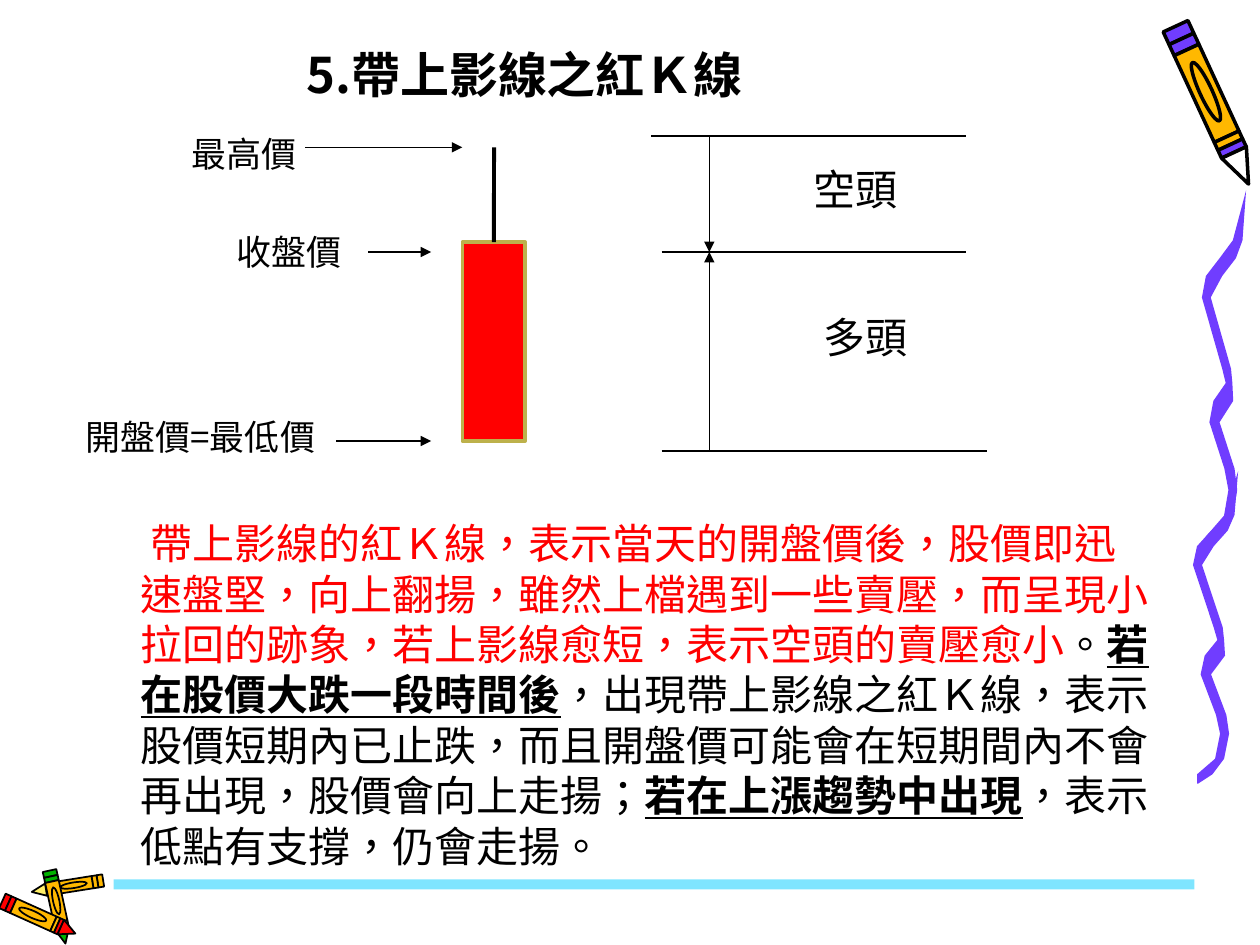
from math import atan2, degrees, hypot

from lxml.etree import SubElement
from pptx import Presentation
from pptx.dml.color import RGBColor
from pptx.enum.lang import MSO_LANGUAGE_ID
from pptx.enum.shapes import MSO_CONNECTOR, MSO_SHAPE
from pptx.enum.text import MSO_ANCHOR, PP_ALIGN
from pptx.oxml.ns import qn
from pptx.util import Cm, Pt

COLORS = {
    "black": "000000", "white": "FFFFFF", "red": "FF0000", "violet": "703DFF",
    "amber": "FFB800", "cream": "FFEF66", "green": "00B200", "cyan": "00CCFF",
    "olive": "BDB14B",
}
RGB = {name: RGBColor.from_string(value) for name, value in COLORS.items()}
SANS_SC, SANS_TC, SERIF = "Noto Sans CJK SC", "Noto Sans CJK TC", "Times New Roman"


def style_shape(shape, fill, line=None, line_width=0.75):
    shape.shadow.inherit = False
    shape.fill.solid()
    shape.fill.fore_color.rgb = RGB[fill]
    if line:
        shape.line.color.rgb = RGB[line]
        shape.line.width = Pt(line_width)
    else:
        shape.line.fill.background()


def write_text(shape, runs, size, font_name, align=PP_ALIGN.LEFT, anchor=MSO_ANCHOR.TOP):
    """Fill a shape with one paragraph; runs are (text, font formats) pairs."""
    frame = shape.text_frame
    frame.word_wrap = True
    frame.vertical_anchor = anchor
    paragraph = frame.paragraphs[0]
    paragraph.alignment = align
    paragraph.line_spacing = Pt(size * 1.2)
    for text, formats in runs:
        run = paragraph.add_run()
        run.text = text
        run.font.color.rgb = RGB[formats.get("color", "black")]
        values = {"size": Pt(size), "name": font_name,
                  "language_id": MSO_LANGUAGE_ID.TRADITIONAL_CHINESE,
                  **{key: value for key, value in formats.items() if key != "color"}}
        for name, value in values.items():
            setattr(run.font, name, value)
        east_asian = SANS_TC if font_name == SERIF else font_name
        SubElement(run._r.get_or_add_rPr(), qn("a:ea"), typeface=east_asian)
    return paragraph


presentation = Presentation()
presentation.slide_width, presentation.slide_height = Cm(25.4), Cm(19.05)
slide = presentation.slides.add_slide(presentation.slide_layouts[5])
shapes = slide.shapes

# Pencil trail: one wavy ribbon used twice.
# Each row gives depth, left edge and right edge in percent of the ribbon's box.
ribbon_rows = [
    (0, 100, 100), (14, 70, 92), (19, 40, 77), (24, 9, 46), (30, 0, 20), (50, 46, 66),
    (54, 54, 69), (59, 26, 71), (65, 17, 40), (78, 51, 74), (84, 60, 80), (92, 49, 69),
    (97, 9, 43), (100, 9, 11),
]
left_edge = [(left, depth) for depth, left, right in ribbon_rows]
right_edge = [(right, depth) for depth, left, right in reversed(ribbon_rows)]
ribbon_outline = left_edge + right_edge
for left, top, width, height in [(24.05, 9.5, 0.91, 6.3), (24.23, 3.84, 0.89, 7.19)]:
    scale = (Cm(width) / 100, Cm(height) / 100)
    builder = shapes.build_freeform(*ribbon_outline[0], scale=scale)
    builder.add_line_segments(ribbon_outline[1:], close=True)
    style_shape(builder.convert_to_shape(Cm(left), Cm(top)), "violet")

# Pencil and crayons: the same parts laid along an axis from blunt end to tip.
# Each part gives its preset, where it starts and ends on the axis, its share of
# the width, and its colour ("end" and "tip" differ from stick to stick).
stick_parts = [
    (MSO_SHAPE.RECTANGLE, 0, 0.08, 1, "end"),
    (MSO_SHAPE.RECTANGLE, 0.08, 0.15, 1, "end"),
    (MSO_SHAPE.RECTANGLE, 0.15, 0.7, 1, "amber"),
    (MSO_SHAPE.RECTANGLE, 0.7, 0.75, 1, "amber"),
    (MSO_SHAPE.RECTANGLE, 0.75, 0.8, 1, "end"),
    (MSO_SHAPE.FLOWCHART_MERGE, 0.8, 1, 1, "tip"),
    (MSO_SHAPE.OVAL, 0.23, 0.6, 0.45, "amber"),
]
for (x1, y1), (x2, y2), stick_width, end, tip, outline_width in [
    ((2.08, 17.75), (0.64, 17.98), 0.25, "amber", "cream", 1),
    ((1, 17.55), (1.32, 19.02), 0.28, "green", "green", 1),
    ((0.05, 18.16), (1.52, 18.82), 0.32, "red", "red", 1),
    ((23.7, 0.53), (25.17, 3.71), 0.55, "violet", "white", 2),
]:
    length = hypot(x2 - x1, y2 - y1)
    for preset, start, stop, share, color in stick_parts:
        middle = (start + stop) / 2
        width, height = stick_width * share, length * (stop - start)
        left = x1 + (x2 - x1) * middle - width / 2
        top = y1 + (y2 - y1) * middle - height / 2
        part = shapes.add_shape(preset, Cm(left), Cm(top), Cm(width), Cm(height))
        part.rotation = degrees(atan2(x1 - x2, y2 - y1))
        style_shape(part, {"end": end, "tip": tip}.get(color, color), "black", outline_width)

# Footer bar, half transparent
footer = shapes.add_shape(MSO_SHAPE.RECTANGLE, Cm(2.29), Cm(17.73), Cm(21.79), Cm(0.5))
footer.height = Cm(0.2)
style_shape(footer, "cyan")
footer_color = footer._element.spPr.find(".//" + qn("a:srgbClr"))
SubElement(footer_color, qn("a:alpha"), val="50000")

# Price labels and candle
for text, box in [
    ("最高價", (3.61, 2.54, 2.84, 0.89)),
    ("收盤價", (4.52, 4.52, 3.51, 1.04)),
    ("開盤價=最低價", (1.47, 8.26, 5.61, 0.84)),
]:
    label = shapes.add_shape(MSO_SHAPE.RECTANGLE, *map(Cm, box))
    style_shape(label, "white", "white")
    write_text(label, [(text, {})], 20, SANS_TC)
candle = shapes.add_shape(MSO_SHAPE.RECTANGLE, Cm(9.32), Cm(4.88), Cm(1.27), Cm(4.01))
style_shape(candle, "red", "olive", 2)

# Lines: start, end, width, arrowhead at the end
high, close, low = 2.74, 5.08, 9.09
range_x = 14.3
lines = {
    "high price": ((6.15, 2.97), (9.32, 2.97), 0.75, True),
    "closing price": ((7.42, close), (8.69, close), 0.75, True),
    "opening price": ((6.78, 8.89), (8.69, 8.89), 0.75, True),
    "wick": ((9.96, 2.97), (9.96, 4.88), 2.25, False),
    "high level": ((13.13, high), (19.48, high), 0.75, False),
    "close level": ((13.34, close), (19.48, close), 0.75, False),
    "low level": ((13.34, low), (19.89, low), 0.75, False),
    "short range": ((range_x, high), (range_x, close), 0.75, True),
    "long range": ((range_x, low), (range_x, close), 0.75, True),
}
for name, (start, end, width, has_arrow) in lines.items():
    connector = shapes.add_connector(MSO_CONNECTOR.STRAIGHT, *map(Cm, start + end))
    connector.line.color.rgb = RGB["black"]
    connector.line.width = Pt(width)
    if has_arrow:
        SubElement(connector.line._get_or_add_ln(), qn("a:tailEnd"), type="triangle")
    SubElement(connector._element.spPr, qn("a:effectLst"))
    if name == "wick":
        connector.end_connect(candle, 0)

for text, left, top in [("空頭", 15.24, 3.18), ("多頭", 15.44, 6.15)]:
    range_label = shapes.add_textbox(Cm(left), Cm(top), Cm(4.01), Cm(1.27))
    write_text(range_label, [(text, {})], 24, SERIF, PP_ALIGN.CENTER)

# Title and explanation
title = shapes.title
title.left, title.top, title.width, title.height = map(Cm, (5.56, 0.3, 10.03, 1.91))
write_text(title, [("5.帶上影線之紅Ｋ線", {"bold": True})], 28, SANS_SC,
           PP_ALIGN.CENTER, MSO_ANCHOR.BOTTOM)

emphasis = {"bold": True, "underline": True}
explanation = shapes.add_textbox(Cm(2.59), Cm(10.31), Cm(20.96), Cm(7.44))
paragraph = write_text(explanation, [
    ("帶上影線的紅Ｋ線，表示當天的開盤價後，股價即迅速盤堅，向上翻揚，雖然上檔遇到一些賣壓，"
     "而呈現小拉回的跡象，若上影線愈短，表示空頭的賣壓愈小", {"color": "red"}),
    ("。", {}),
    ("若在股價大跌一段時間後", emphasis),
    ("，出現帶上影線之紅Ｋ線，表示股價短期內已止跌，而且開盤價可能會在短期間內不會再出現，"
     "股價會向上走揚；", {}),
    ("若在上漲趨勢中出現", emphasis),
    ("，表示低點有支撐，仍會走揚。", {}),
], 24, SANS_SC)
paragraph._p.get_or_add_pPr().set("indent", str(Cm(0.2)))

presentation.save("out.pptx")
